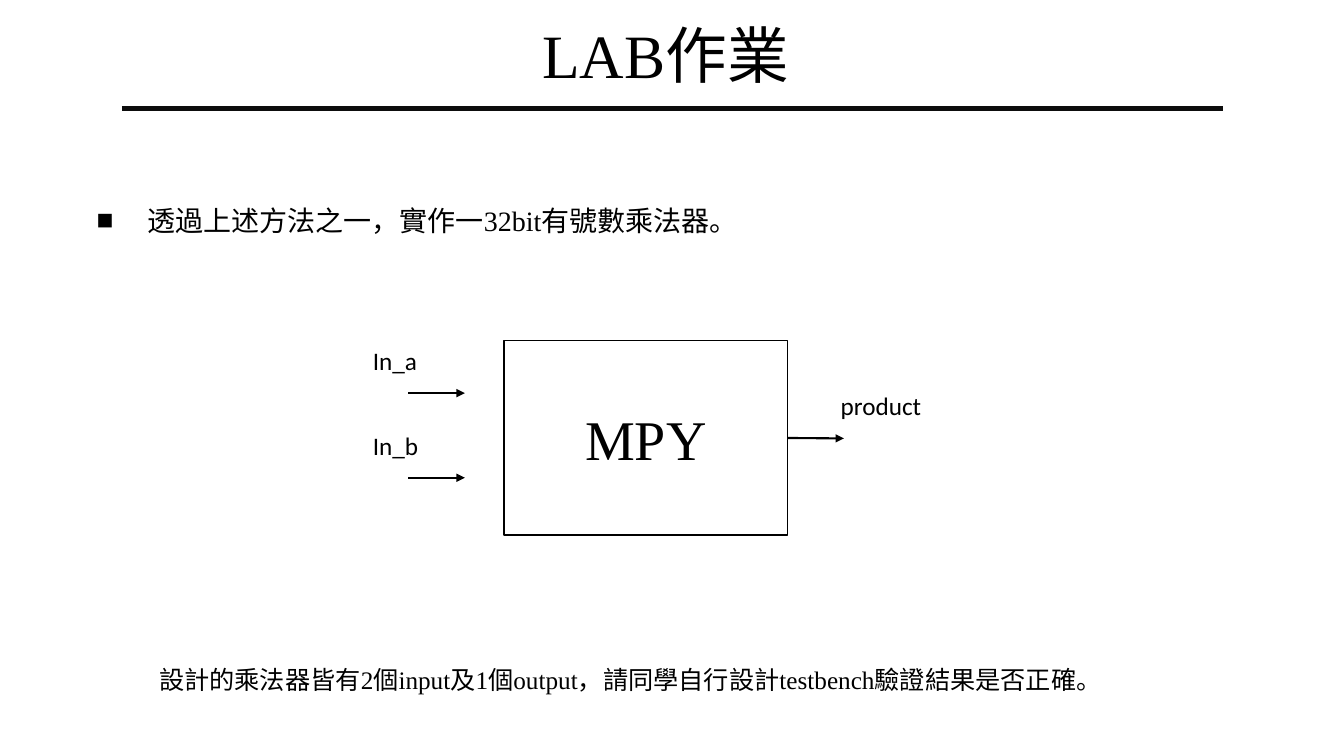
from dataclasses import dataclass

from lxml import etree
from pptx import Presentation
from pptx.dml.color import RGBColor
from pptx.enum.shapes import MSO_CONNECTOR, MSO_SHAPE
from pptx.enum.text import MSO_ANCHOR, MSO_AUTO_SIZE, PP_ALIGN
from pptx.oxml.ns import qn
from pptx.util import Inches, Pt

BLACK = RGBColor(0x00, 0x00, 0x00)
DARK = RGBColor(0x0D, 0x0D, 0x0D)
WHITE = RGBColor(0xFF, 0xFF, 0xFF)
SERIF, SANS = "Times New Roman", "Calibri"
LEFT, CENTER = PP_ALIGN.LEFT, PP_ALIGN.CENTER
TOP, MIDDLE, BOTTOM = MSO_ANCHOR.TOP, MSO_ANCHOR.MIDDLE, MSO_ANCHOR.BOTTOM
GROW, FIXED = MSO_AUTO_SIZE.SHAPE_TO_FIT_TEXT, MSO_AUTO_SIZE.NONE
STRAIGHT, RECT = MSO_CONNECTOR.STRAIGHT, MSO_SHAPE.RECTANGLE
ARROW = 0.56  # length of every signal arrow


@dataclass
class Port:
    name: str
    left: float  # label box
    top: float
    width: float
    start: float  # arrow
    level: float


PORTS = [
    Port("In_a", 3.6, 3.38, 0.65, 4.05, 3.9),
    Port("In_b", 3.6, 4.22, 0.66, 4.05, 4.74),
    Port("product", 8.24, 3.82, 1.01, 7.81, 4.35),
]


def write(shape, text: str, *, size: float, font: str = SERIF, align=LEFT,
          anchor=TOP, fit=GROW, wrap: bool = True, space: float = 1.0):
    """Put one formatted paragraph into a shape and return it."""
    frame = shape.text_frame
    frame.word_wrap = wrap
    frame.auto_size = fit
    frame.vertical_anchor = anchor
    para = frame.paragraphs[0]
    para.alignment = align
    para.line_spacing = space
    run = para.add_run()
    run.text = text
    run.font.size = Pt(size)
    run.font.name = font
    run.font.color.rgb = BLACK
    return para


def add_box(slide, left: float, top: float, width: float, height: float):
    return slide.shapes.add_textbox(
        Inches(left), Inches(top), Inches(width), Inches(height))


def add_line(slide, start: float, end: float, level: float, color: RGBColor,
             weight: float, arrow: bool = False):
    line = slide.shapes.add_connector(
        STRAIGHT, Inches(start), Inches(level), Inches(end), Inches(level))
    line.line.color.rgb = color
    line.line.width = Pt(weight)
    if arrow:
        etree.SubElement(line.line._get_or_add_ln(), qn("a:tailEnd"), type="triangle")
    etree.SubElement(line._element.spPr, qn("a:effectLst"))
    return line


def add_bullet(para, mark: str, indent: float) -> None:
    props = para._p.get_or_add_pPr()
    props.set("marL", str(Inches(indent)))
    props.set("indent", str(-Inches(indent)))
    etree.SubElement(props, qn("a:buFont"), typeface=SERIF)
    etree.SubElement(props, qn("a:buChar"), char=mark)


def main() -> None:
    deck = Presentation()
    deck.slide_width, deck.slide_height = Inches(13.33), Inches(7.5)
    slide = deck.slides.add_slide(deck.slide_layouts[6])

    # Title and rule
    write(add_box(slide, 0.92, 0.16, 11.5, 0.8), "LAB作業 ", size=44,
          align=CENTER, anchor=BOTTOM, fit=FIXED, space=0.9)
    add_line(slide, 1.21, 12.13, 1.08, DARK, 3.75)

    # Task
    task = write(add_box(slide, 0.86, 1.97, 11.61, 0.77),
                 "透過上述方法之一，實作一32bit有號數乘法器。", size=20)
    add_bullet(task, "■", 0.5)

    # Multiplier block
    block = slide.shapes.add_shape(
        RECT, Inches(5), Inches(3.38), Inches(2.81), Inches(1.93))
    block.shadow.inherit = False
    block.fill.solid()
    block.fill.fore_color.rgb = WHITE
    block.line.color.rgb = BLACK
    block.line.width = Pt(1)
    write(block, "MPY", size=40, align=CENTER, anchor=MIDDLE, fit=FIXED)

    # Signals
    for port in PORTS:
        wire = add_line(slide, port.start, port.start + ARROW, port.level,
                        BLACK, 1.5, arrow=True)
        if port.name == "product":
            wire.begin_connect(block, 3)
        write(add_box(slide, port.left, port.top, port.width, 0.4), port.name,
              size=18, font=SANS, wrap=False)

    # Closing note
    write(add_box(slide, 1.48, 6.54, 10.33, 0.4),
          "設計的乘法器皆有2個input及1個output，請同學自行設計testbench驗證結果是否正確。",
          size=18)

    deck.save("out.pptx")


if __name__ == "__main__":
    main()
